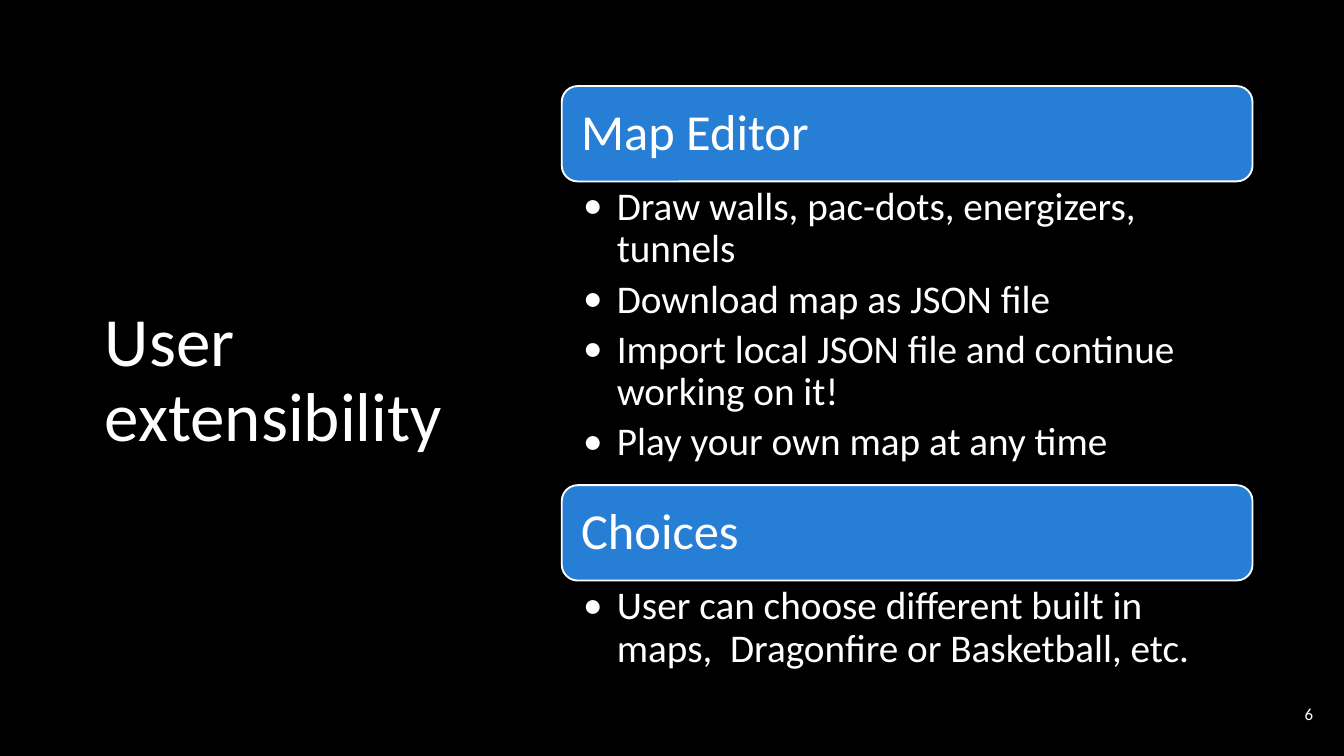
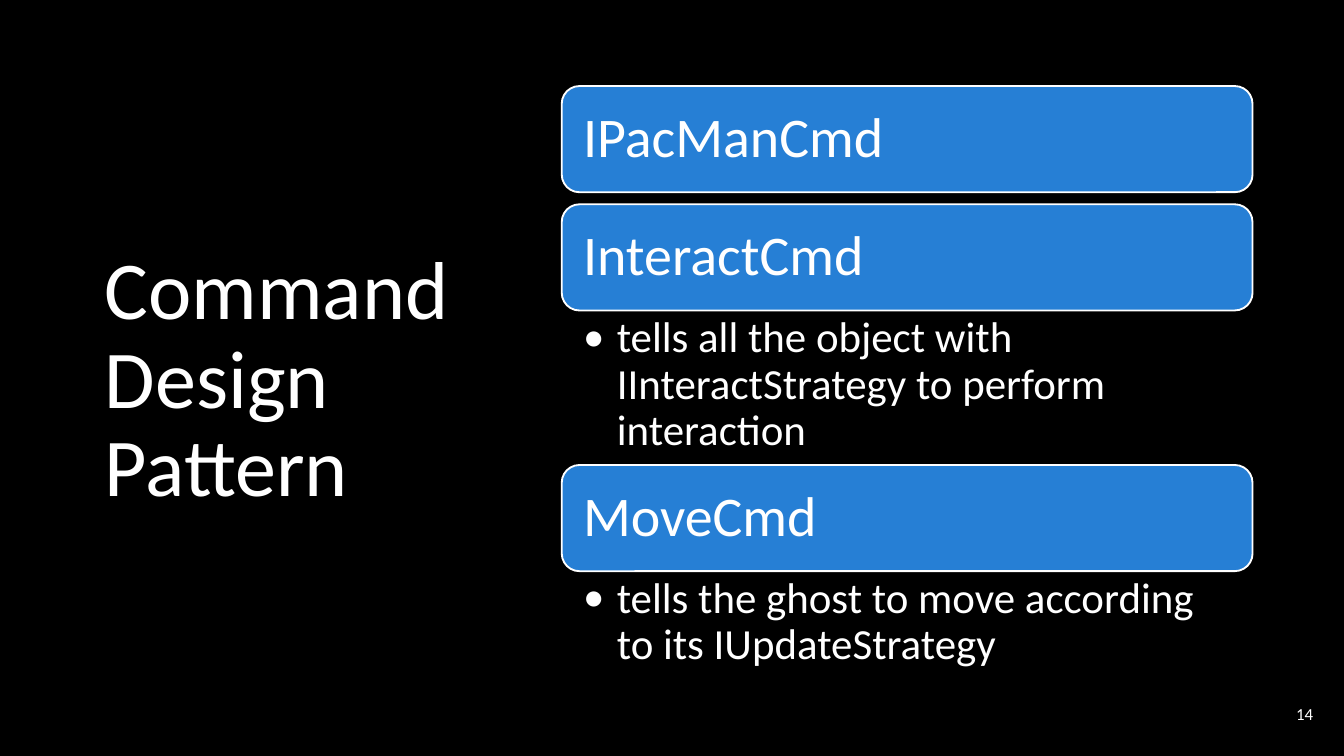
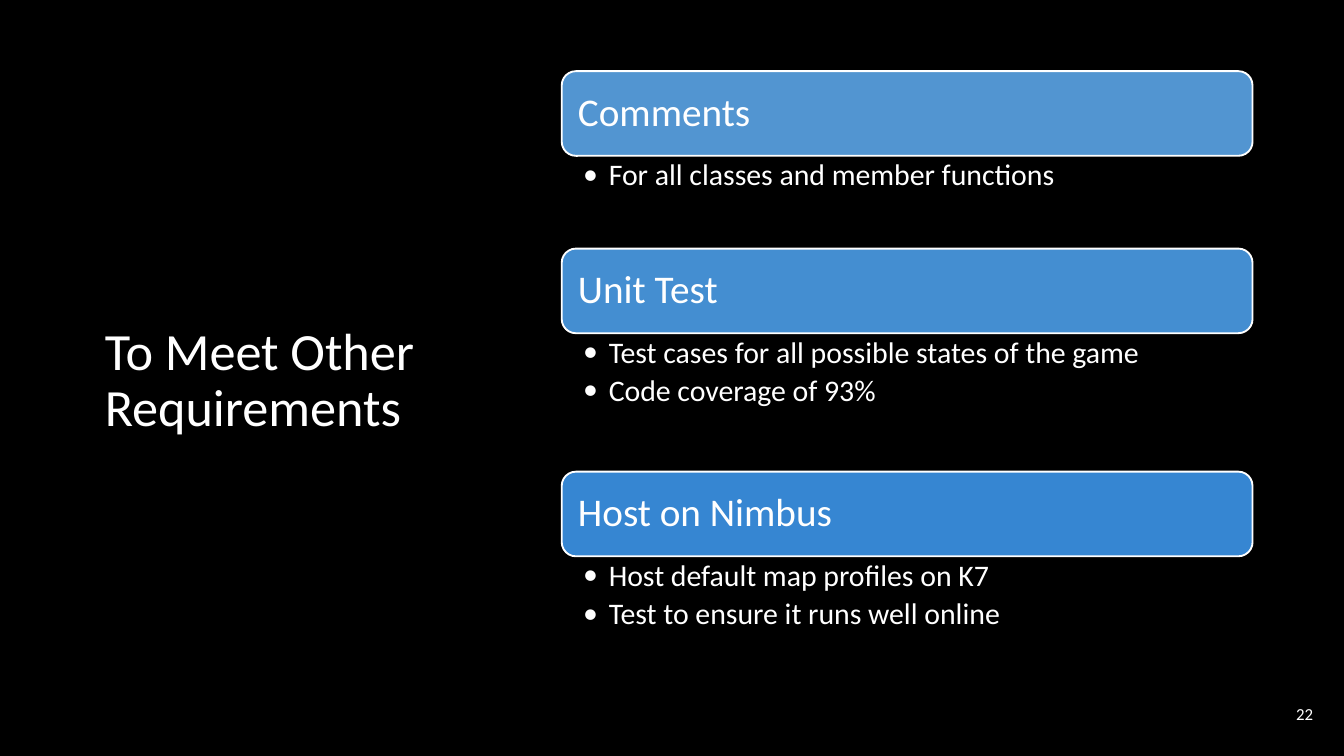
from dataclasses import dataclass

from lxml import etree
from pptx import Presentation
from pptx import util as u
from pptx.dml.color import RGBColor
from pptx.enum import shapes, text
from pptx.oxml.ns import qn


@dataclass(frozen=True)
class Theme:
    font: str = "Calibri"
    background: str = "000000"
    ink: str = "FFFFFF"
    blue: str = "267FD5"
    number_size: int = 9
    line_spacing: float = 0.9


@dataclass(frozen=True)
class Scale:
    """Type sizes in points and lengths in inches that vary with how full a slide is."""
    title: int
    heading: int
    bullet: int
    top: float
    bar: float
    bar_inset: float
    indent: float
    bullet_insets: tuple
    bullet_gap: float


THEME = Theme()
WIDTH = 10
HEIGHT = WIDTH * 9 / 16
TITLE_AREA = (0.68, 0.58, 2.77, 4.52)
NUMBER_AREA = (9.27, 5.1, 0.6, 0.43)
STACK_LEFT, STACK_WIDTH = 4.18, 5.14
CORNER = 0.167

# Each section: heading, bar colour, space below the bar, bullets
SLIDES = [
    dict(
        title="User extensibility", number=6,
        scale=Scale(37, 27, 21, 0.64, 0.71, 0.11, 0.25, (0.16, 0.04, 0.21, 0.04), 4.2),
        sections=[
            ("Map Editor", THEME.blue, 2.26, [
                "Draw walls, pac-dots, energizers, tunnels",
                "Download map as JSON file",
                "Import local JSON file and continue working on it!",
                "Play your own map at any time",
            ]),
            ("Choices", THEME.blue, 0.72, [
                "User can choose different built in maps,  Dragonfire or Basketball, etc.",
            ]),
        ],
    ),
    dict(
        title="Command\nDesign\nPattern", number=14,
        scale=Scale(44, 30, 23, 0.64, 0.79, 0.12, 0.25, (0.16, 0.04, 0.23, 0.04), 4.2),
        sections=[
            ("IPacManCmd", THEME.blue, 0.09, []),
            ("InteractCmd", THEME.blue, 1.15, [
                "tells all the object with IInteractStrategy to perform interaction",
            ]),
            ("MoveCmd", THEME.blue, 0.8, [
                "tells the ghost to move according to its IUpdateStrategy",
            ]),
        ],
    ),
    dict(
        title="To Meet Other Requirements", number=22,
        scale=Scale(28, 21, 16, 0.53, 0.63, 0.09, 0.19, (0.16, 0.03, 0.16, 0.03), 3.2),
        sections=[
            ("Comments", "5295D1", 0.69, ["For all classes and member functions"]),
            ("Unit Test", "448ED1", 1.03, [
                "Test cases for all possible states of the game",
                "Code coverage of 93%",
            ]),
            ("Host on Nimbus", "3686D2", 1.03, [
                "Host default map profiles on K7",
                "Test to ensure it runs well online",
            ]),
        ],
    ),
]


def inches(lengths):
    return [u.Inches(length) for length in lengths]


def write(frame, lines, size, insets, anchor=text.MSO_ANCHOR.MIDDLE,
          align=text.PP_ALIGN.LEFT, spacing=THEME.line_spacing):
    frame.word_wrap = True
    frame.auto_size = text.MSO_AUTO_SIZE.NONE
    frame.vertical_anchor = anchor
    (frame.margin_left, frame.margin_top,
     frame.margin_right, frame.margin_bottom) = inches(insets)
    frame.text = "\n".join(lines)
    for para in frame.paragraphs:
        para.alignment = align
        para.line_spacing = spacing
        para.font.name = THEME.font
        para.font.size = u.Pt(size)
        para.font.color.rgb = RGBColor.from_string(THEME.ink)


def add_bullet_mark(para, indent):
    properties = para._p.get_or_add_pPr()
    properties.set("marL", str(u.Inches(indent)))
    properties.set("indent", str(-u.Inches(indent)))
    colour = etree.Element(qn("a:buClr"))
    etree.SubElement(colour, qn("a:srgbClr"), val=THEME.ink)
    typeface = etree.Element(qn("a:buFont"), typeface=THEME.font)
    mark = etree.Element(qn("a:buChar"), char="•")
    for part in (colour, typeface, mark):
        properties.find(qn("a:defRPr")).addprevious(part)


def add_bar(page, heading, colour, top, scale):
    bar = page.shapes.add_shape(
        shapes.MSO_SHAPE.ROUNDED_RECTANGLE,
        *inches((STACK_LEFT, top, STACK_WIDTH, scale.bar)))
    bar.adjustments[0] = CORNER
    bar.shadow.inherit = False
    bar.fill.solid()
    bar.fill.fore_color.rgb = RGBColor.from_string(colour)
    bar.line.color.rgb = RGBColor.from_string(THEME.ink)
    bar.line.width = u.Pt(1)
    write(bar.text_frame, [heading], scale.heading, [scale.bar_inset] * 4)


def add_bullets(page, bullets, top, height, scale):
    box = page.shapes.add_textbox(*inches((STACK_LEFT, top, STACK_WIDTH, height)))
    write(box.text_frame, bullets, scale.bullet, scale.bullet_insets,
          anchor=text.MSO_ANCHOR.TOP)
    for position, para in enumerate(box.text_frame.paragraphs):
        para.level = 1
        para.space_before = u.Pt(scale.bullet_gap if position else 0)
        add_bullet_mark(para, scale.indent)


def add_stack(page, sections, scale):
    top = scale.top
    for heading, colour, room, bullets in sections:
        add_bar(page, heading, colour, top, scale)
        top += scale.bar
        if bullets:
            add_bullets(page, bullets, top, room, scale)
        top += room


def add_page(deck, layout, content):
    page = deck.slides.add_slide(layout)
    title = page.shapes.title
    title.left, title.top, title.width, title.height = inches(TITLE_AREA)
    write(title.text_frame, content["title"].split("\n"), content["scale"].title,
          (0.1, 0.05, 0.1, 0.05))
    add_stack(page, content["sections"], content["scale"])
    number = page.shapes.add_textbox(*inches(NUMBER_AREA))
    write(number.text_frame, [str(content["number"])], THEME.number_size, [0.1] * 4,
          align=text.PP_ALIGN.RIGHT, spacing=1.0)


def main():
    deck = Presentation()
    deck.slide_width, deck.slide_height = inches((WIDTH, HEIGHT))
    backdrop = deck.slide_master.background.fill
    backdrop.solid()
    backdrop.fore_color.rgb = RGBColor.from_string(THEME.background)
    title_only = deck.slide_layouts.get_by_name("Title Only")
    for content in SLIDES:
        add_page(deck, title_only, content)
    deck.save("out.pptx")


if __name__ == "__main__":
    main()
